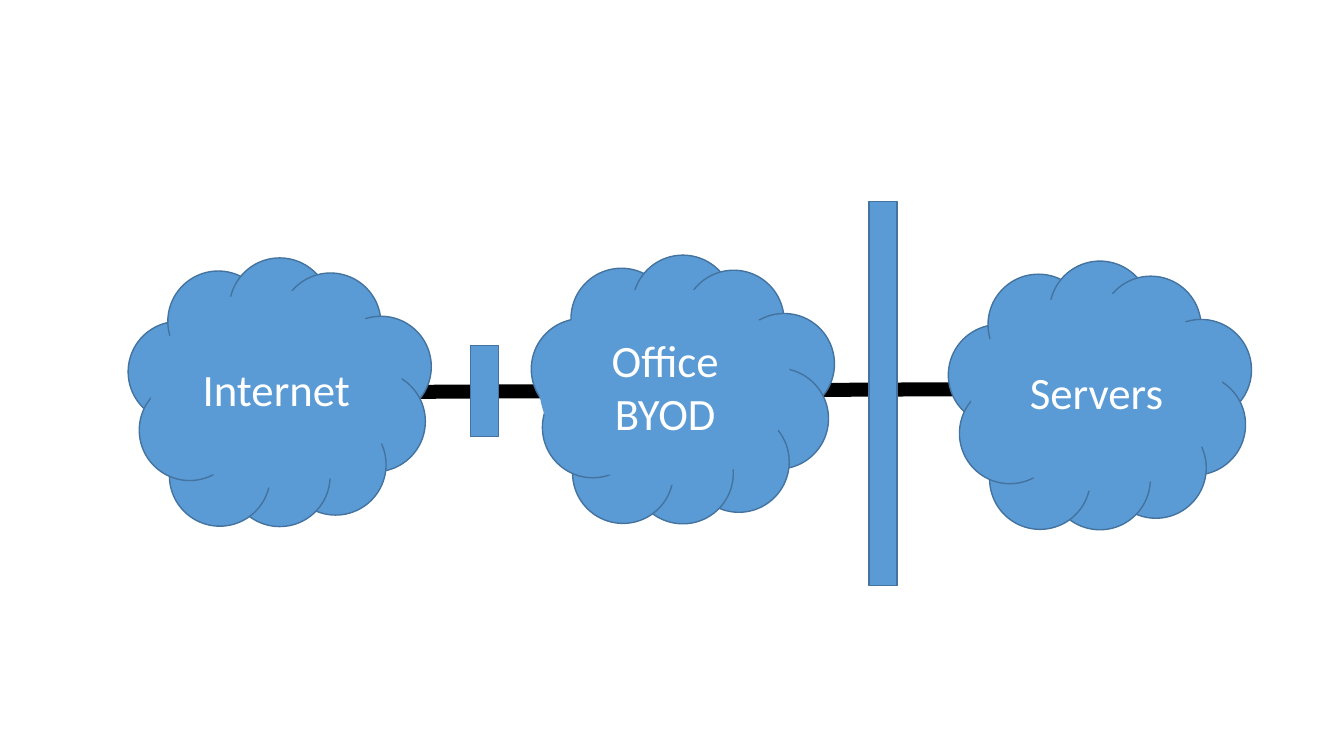
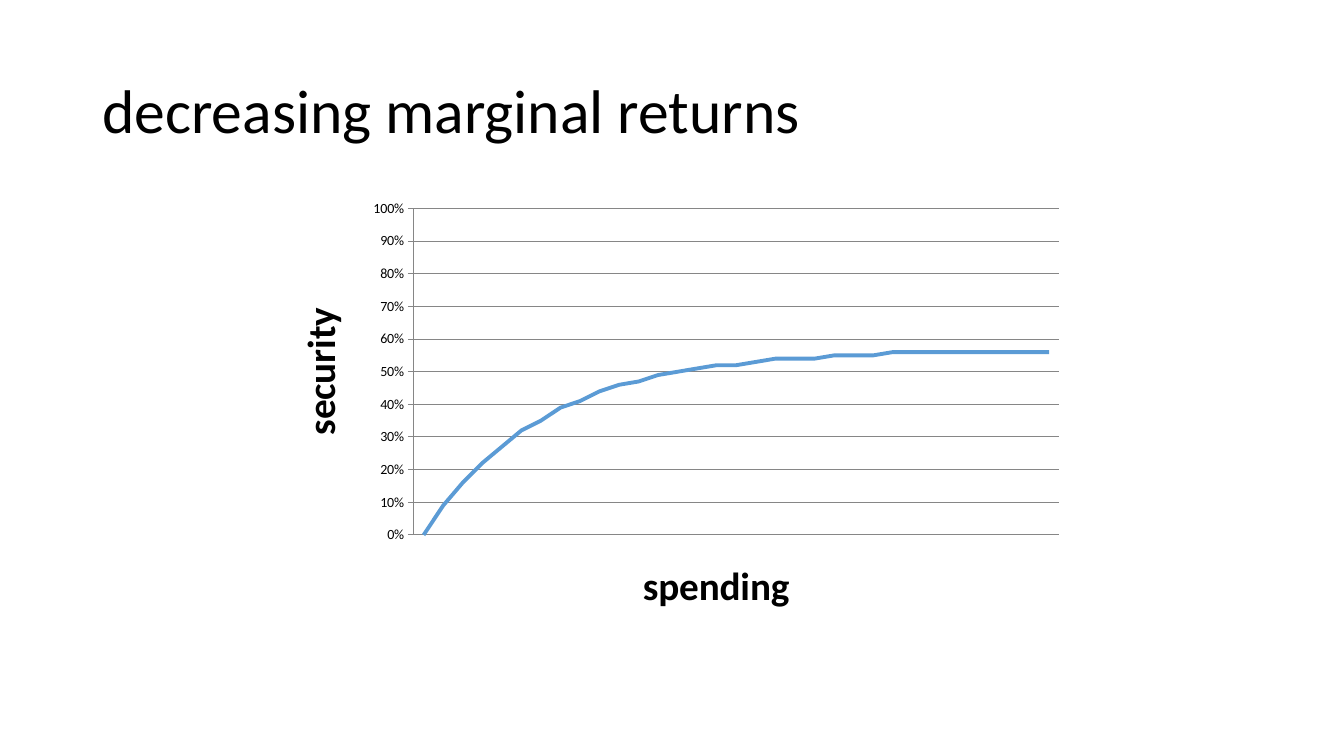
from dataclasses import dataclass
from lxml import etree
from pptx import Presentation
from pptx import util as u
from pptx.chart.data import CategoryChartData
from pptx.dml.color import RGBColor
from pptx.enum import chart as ch, shapes, text
from pptx.oxml.ns import qn

Cm, Pt = u.Cm, u.Pt


@dataclass(frozen=True)
class Theme:
    font: str = "Calibri"
    blue: RGBColor = RGBColor(0x5B, 0x9B, 0xD5)
    edge: RGBColor = RGBColor(0x43, 0x73, 0x9E)
    grid: RGBColor = RGBColor(0x86, 0x86, 0x86)
    black: RGBColor = RGBColor(0, 0, 0)
    white: RGBColor = RGBColor(255, 255, 255)
    head: int = 44
    label: int = 32
    axis: int = 28
    tick: int = 10


theme = Theme()


def write(para, words, size, color, bold=False):
    run = para.add_run()
    run.text = words
    font = run.font
    font.name, font.size, font.bold = theme.font, Pt(size), bold
    font.color.rgb = color


def block(parent, kind, left, top, wide, high, edge=True):
    shape = parent.add_shape(kind, Cm(left), Cm(top), Cm(wide), Cm(high))
    shape.shadow.inherit = False
    shape.fill.solid()
    shape.fill.fore_color.rgb = theme.blue
    if edge:
        shape.line.color.rgb = theme.edge
        shape.line.width = Pt(1)
    else:
        shape.line.fill.background()
    return shape


deck = Presentation()
deck.slide_width, deck.slide_height = Cm(33.87), Cm(19.05)
blank = deck.slide_layouts[6]

# Slide 1: network zones
slide = deck.slides.add_slide(blank)

# Link behind the clouds
link = slide.shapes.add_connector(
    shapes.MSO_CONNECTOR.STRAIGHT, Cm(9.19), Cm(9.88), Cm(25.81), Cm(9.8))
link.line.color.rgb = theme.black
link.line.width = Pt(10)
etree.SubElement(link._element.spPr, qn("a:effectLst"))

# Clouds: a ring of puffs under a plain body
puffs = [(0, 1.6), (1, 0.33), (2.55, 0), (3.83, 0.38), (5.1, 1.47),
         (4.95, 2.85), (3.96, 3.94), (2.55, 4.23), (1.04, 4.22), (0.28, 3.07)]
clouds = [(23.9, 6.58, 0.56, ["Servers"]),
          (13.39, 6.43, 0.2, ["Office", "BYOD"]),
          (3.23, 6.5, 0.56, ["Internet"])]
oval = shapes.MSO_SHAPE.OVAL
for left, top, inset, lines in clouds:
    group = slide.shapes.add_group_shape().shapes
    for dx, dy in puffs:
        block(group, oval, left + dx, top + dy, 2.54, 2.54)
    body = block(group, oval, left + inset, top + 0.81, 6.35, 4.98, edge=False)
    frame = body.text_frame
    frame.word_wrap = True
    frame.vertical_anchor = text.MSO_ANCHOR.MIDDLE
    for i, words in enumerate(lines):
        para = frame.add_paragraph() if i else frame.paragraphs[0]
        para.alignment = text.PP_ALIGN.CENTER
        write(para, words, theme.label, theme.white)

# Walls between the zones
for left, top, high in [(21.9, 5.08, 9.68), (11.86, 8.71, 2.29)]:
    block(slide.shapes, shapes.MSO_SHAPE.RECTANGLE, left, top, 0.71, high)

# Slide 2: returns curve
slide = deck.slides.add_slide(blank)

# Title
box = slide.shapes.add_textbox(Cm(2.33), Cm(1.01), Cm(29.21), Cm(3.68))
frame = box.text_frame
frame.word_wrap = True
frame.vertical_anchor = text.MSO_ANCHOR.MIDDLE
frame.paragraphs[0].line_spacing = 0.9
write(frame.paragraphs[0], "decreasing marginal returns", theme.head, theme.black)

# Chart
gains = [0, 0.09, 0.16, 0.22, 0.27, 0.32, 0.35, 0.39, 0.41, 0.44, 0.46,
         0.47, 0.49, 0.5, 0.51, 0.52, 0.52, 0.53, 0.54, 0.54, 0.54, 0.55,
         0.55, 0.55] + [0.56] * 9
data = CategoryChartData(number_format="0%")
data.categories = [str(n + 1) for n in range(len(gains))]
data.add_series("Series 1", gains)
chart = slide.shapes.add_chart(
    ch.XL_CHART_TYPE.LINE, Cm(6.77), Cm(4.83), Cm(20.32), Cm(11.28), data).chart
chart.has_legend = chart.has_title = False
chart.font.name, chart.font.size = theme.font, Pt(theme.tick)
chart.font.color.rgb = theme.black
chart.plots[0].vary_by_categories = False
curve = chart.plots[0].series[0]
curve.smooth = False
curve.marker.style = ch.XL_MARKER_STYLE.NONE
curve.format.line.color.rgb = theme.blue
curve.format.line.width = Pt(2.75)

# Axes
cost, gain = chart.category_axis, chart.value_axis
for axis, words in [(cost, "spending"), (gain, "security")]:
    para = axis.axis_title.text_frame.paragraphs[0]
    write(para, words, theme.axis, theme.black, bold=True)
    axis.format.line.color.rgb = theme.grid
cost.tick_label_position = ch.XL_TICK_LABEL_POSITION.NONE
cost.major_tick_mark = ch.XL_TICK_MARK.NONE
gain.major_tick_mark = ch.XL_TICK_MARK.OUTSIDE
gain.minimum_scale, gain.maximum_scale, gain.major_unit = 0, 1, 0.1
gain.tick_labels.number_format = "0%"
gain.tick_labels.number_format_is_linked = False
gain.has_major_gridlines = True
gain.major_gridlines.format.line.color.rgb = theme.grid

deck.save("out.pptx")
